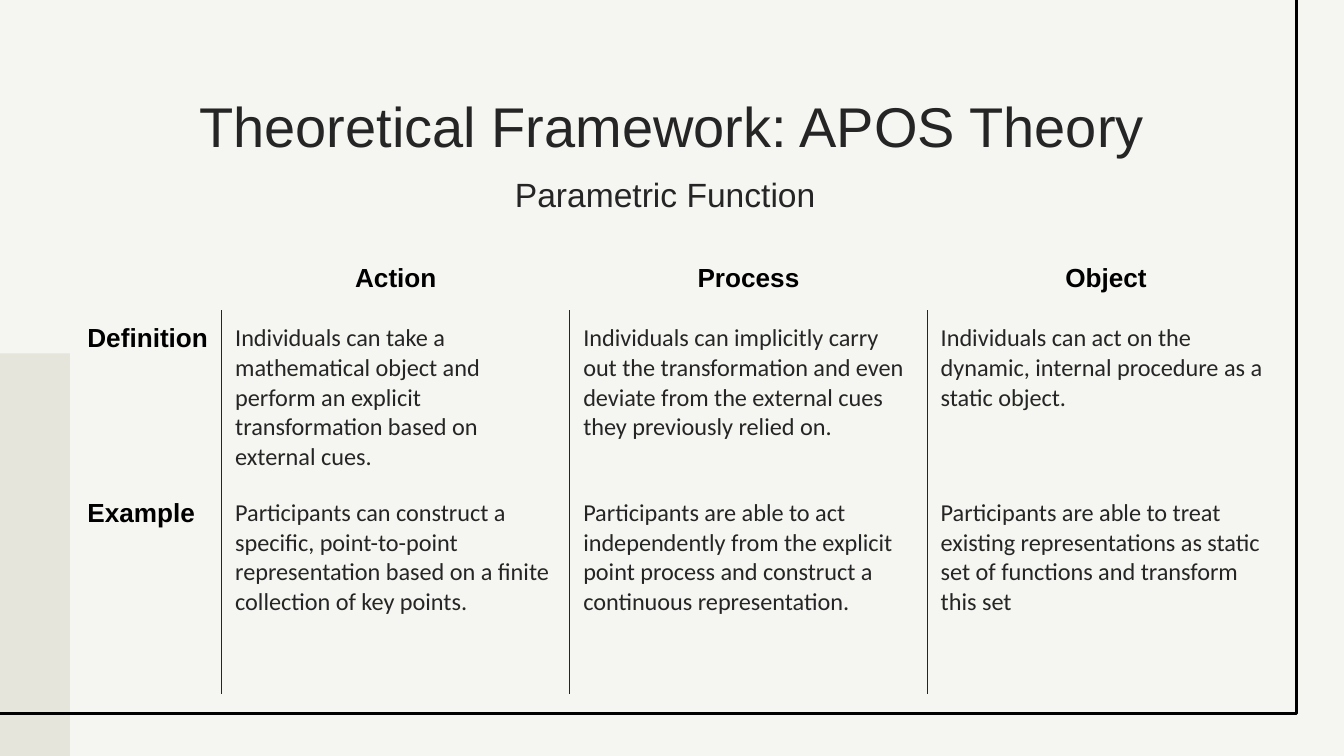
from lxml import etree
from pptx import Presentation
from pptx.dml.color import RGBColor
from pptx.enum.shapes import MSO_SHAPE
from pptx.enum.text import MSO_ANCHOR, MSO_AUTO_SIZE, PP_ALIGN
from pptx.oxml.ns import qn
from pptx.util import Inches, Pt

RECT = MSO_SHAPE.RECTANGLE
TOP, MIDDLE = MSO_ANCHOR.TOP, MSO_ANCHOR.MIDDLE
LEFT, CENTER = PP_ALIGN.LEFT, PP_ALIGN.CENTER
NO_STYLE_NO_GRID = "{2D5ABB26-0587-4C30-8999-92F81FD0307C}"

THEME = {
    "background": "F5F6F1", "band": "E5E5DB", "black": "000000", "text": "252525",
    "heading_font": "Arial", "body_font": "Calibri",
    "title": 30, "subtitle": 18, "label": 14, "body": 13,
    "frame_width": 1.5, "rule_width": 0.75,
}


def color(name):
    return RGBColor.from_string(THEME[name])


def write(tf, text, size, font, ink, align, bold=False):
    p = tf.paragraphs[0]
    p.text = text
    p.alignment = align
    p.font.size = Pt(THEME[size])
    p.font.name = THEME[font]
    p.font.color.rgb = color(ink)
    p.font.bold = bold


# Widescreen slide, 16:9
prs = Presentation()
prs.slide_width = Inches(10)
prs.slide_height = Inches(10 * 9 / 16)
s = prs.slides.add_slide(prs.slide_layouts[5])
s.background.fill.solid()
s.background.fill.fore_color.rgb = color("background")

# Side band and the frame that runs off the top left
band = s.shapes.add_shape(RECT, Inches(-0.13), Inches(2.63), Inches(0.65), Inches(3.02))
band.fill.solid()
band.fill.fore_color.rgb = color("band")
band.line.fill.background()
frame = s.shapes.add_shape(RECT, Inches(-0.02), Inches(-0.86), Inches(9.67), Inches(6.17))
frame.fill.background()
frame.line.color.rgb = color("black")
frame.line.width = Pt(THEME["frame_width"])
for sp in (band, frame):
    sp.shadow.inherit = False

# Title and subtitle
title = s.shapes.title
title.left, title.top, title.width, title.height = (Inches(v) for v in (1, 0.58, 8, 0.58))
subtitle = s.shapes.add_textbox(Inches(2.67), Inches(1.26), Inches(4.56), Inches(0.37))
for sp, text, size, anchor in (
    (title, "Theoretical Framework: APOS Theory", "title", TOP),
    (subtitle, "Parametric Function", "subtitle", MIDDLE),
):
    tf = sp.text_frame
    tf.word_wrap = True
    tf.auto_size = MSO_AUTO_SIZE.NONE
    tf.vertical_anchor = anchor
    tf.margin_left = tf.margin_right = tf.margin_top = tf.margin_bottom = Inches(0.1)
    write(tf, text, size, "heading_font", "text", CENTER)

# Table of APOS stages
rows = [
    ["", "Action", "Process", "Object"],
    ["Definition",
     "Individuals can take a mathematical object and perform an explicit transformation "
     "based on external cues.",
     "Individuals can implicitly carry out the transformation and even deviate from the "
     "external cues they previously relied on.",
     "Individuals can act on the dynamic, internal procedure as a static object."],
    ["Example",
     "Participants can construct a specific, point-to-point representation based on a "
     "finite collection of key points.",
     "Participants are able to act independently from the explicit point process and "
     "construct a continuous representation.",
     "Participants are able to treat existing representations as static set of functions "
     "and transform this set"],
]
col_widths = [1.1, 2.59, 2.66, 2.66]
row_heights = [0.47, 1.3, 1.55]
table = s.shapes.add_table(
    len(rows), len(col_widths), Inches(0.55), Inches(1.84),
    Inches(sum(col_widths)), Inches(sum(row_heights))).table
table.first_row = table.horz_banding = False
table._tbl.tblPr.find(qn("a:tableStyleId")).text = NO_STYLE_NO_GRID
for column, width in zip(table.columns, col_widths):
    column.width = Inches(width)
for row, height in zip(table.rows, row_heights):
    row.height = Inches(height)

for i, texts in enumerate(rows):
    for j, text in enumerate(texts):
        cell = table.cell(i, j)
        cell.fill.background()
        cell.margin_left = cell.margin_right = Inches(0.1)
        cell.margin_top = cell.margin_bottom = Inches(0.1)
        cell.vertical_anchor = TOP if i else MIDDLE
        if i and j:
            write(cell.text_frame, text, "body", "body_font", "text", LEFT)
        else:
            write(cell.text_frame, text, "label", "heading_font", "black",
                  LEFT if i else CENTER, bold=True)

        # Vertical rules between the columns, below the header row
        sides = [tag for tag, shown in (("a:lnL", j > 0), ("a:lnR", j < len(texts) - 1))
                 if i and shown]
        for k, tag in enumerate(sides):
            ln = etree.Element(qn(tag), w=str(Pt(THEME["rule_width"])))
            fill = etree.SubElement(ln, qn("a:solidFill"))
            etree.SubElement(fill, qn("a:srgbClr"), val=THEME["text"])
            cell._tc.get_or_add_tcPr().insert(k, ln)

prs.save("out.pptx")
